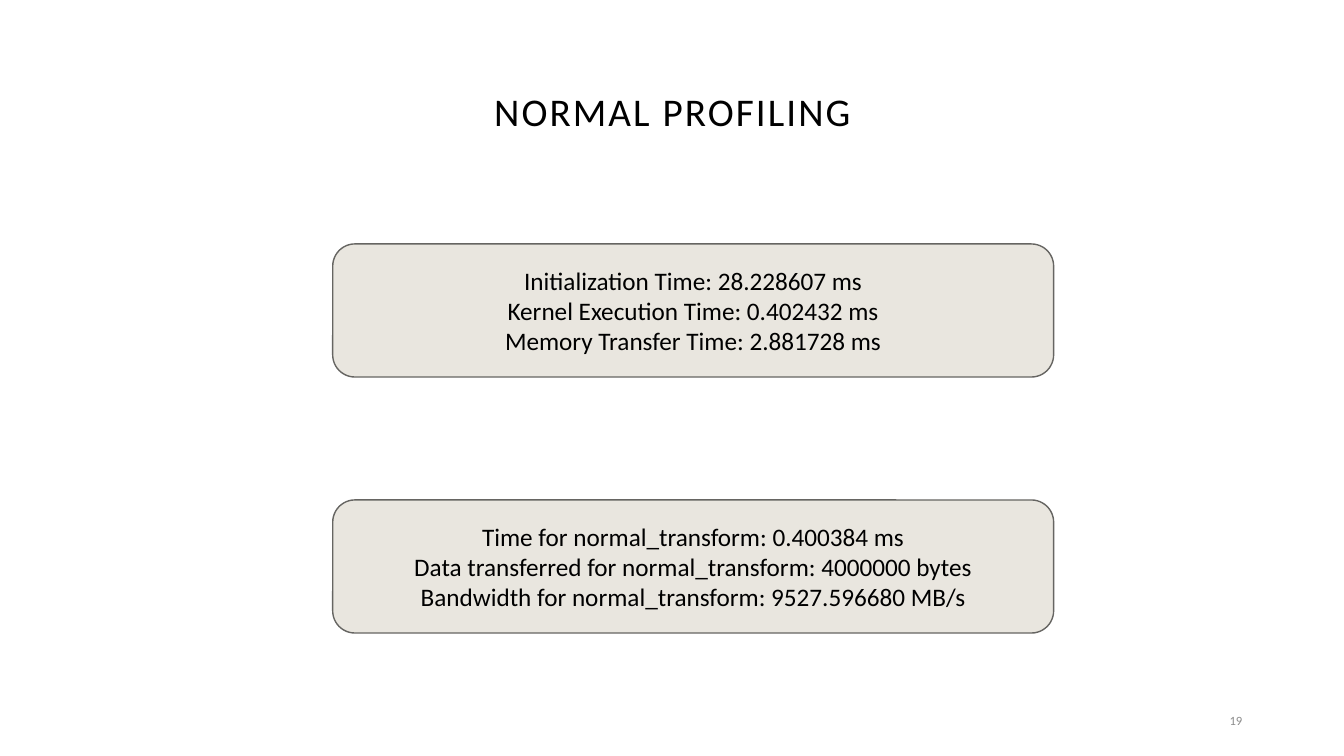
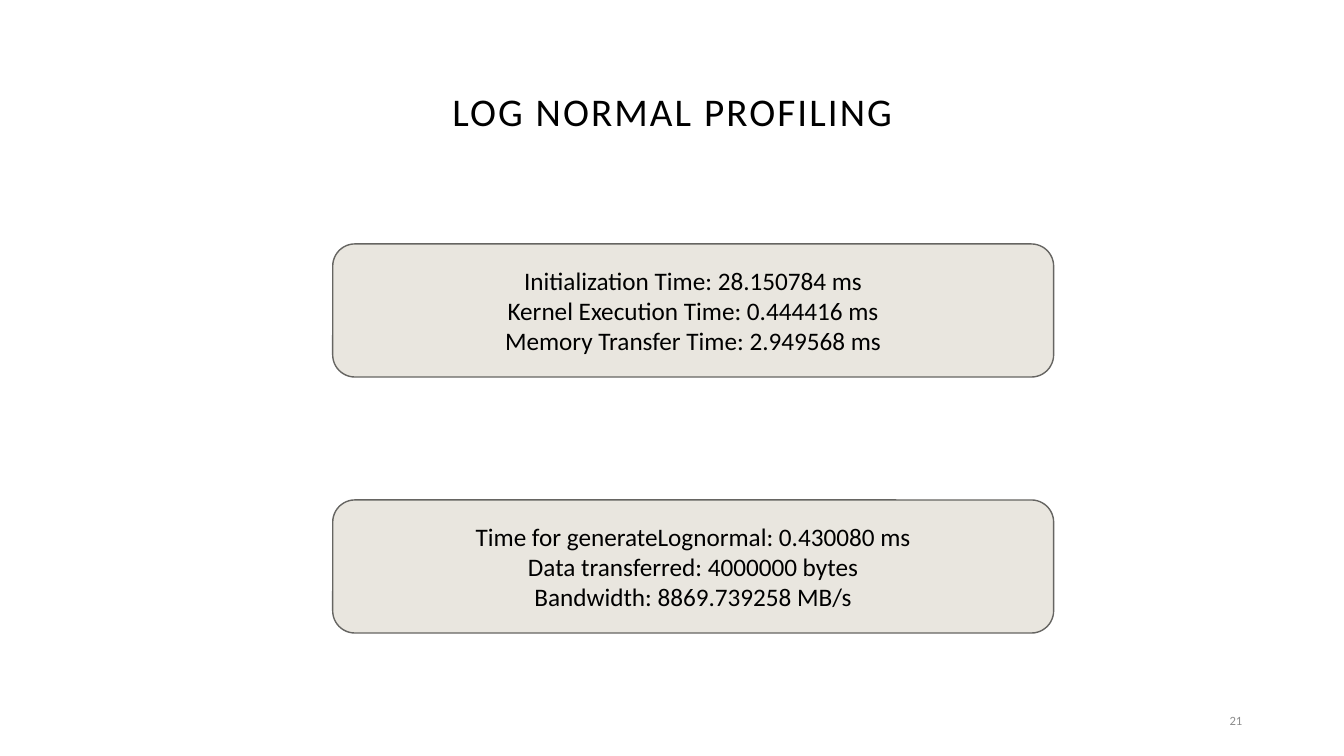
import pptx
import pptx.util
import pptx.dml.color
import pptx.enum.shapes
import pptx.enum.text

Inches = pptx.util.Inches
Pt = pptx.util.Pt
ALIGN = pptx.enum.text.PP_ALIGN

# Shared style
FONT = "Calibri"
TEXT, MUTED, PANEL, OUTLINE, PAPER = "000000", "8C8C8C", "E9E6DF", "666562", "FFFFFF"
TITLE_BOX = (0.92, 0.4, 11.5, 1.45)
NUMBER_BOX = (9.42, 6.95, 3, 0.4)
PANELS_BOX = (3.3, 2.42, 7.15, 3.86)
PANEL_HEIGHT = 1.32

SLIDES = [
    ("NORMAL PROFILING", 19, [
        ["Initialization Time: 28.228607 ms",
         "Kernel Execution Time: 0.402432 ms",
         "Memory Transfer Time: 2.881728 ms"],
        ["Time for normal_transform: 0.400384 ms",
         "Data transferred for normal_transform: 4000000 bytes",
         "Bandwidth for normal_transform: 9527.596680 MB/s"],
    ]),
    ("LOG NORMAL PROFILING", 21, [
        ["Initialization Time: 28.150784 ms",
         "Kernel Execution Time: 0.444416 ms",
         "Memory Transfer Time: 2.949568 ms"],
        ["Time for generateLognormal: 0.430080 ms",
         "Data transferred: 4000000 bytes",
         "Bandwidth: 8869.739258 MB/s"],
    ]),
]


def color(value):
    return pptx.dml.color.RGBColor.from_string(value)


def write(sp, lines, size, ink=TEXT, align=ALIGN.CENTER):
    """Fill a shape with one paragraph per line, centred vertically."""
    tf = sp.text_frame
    tf.word_wrap = True
    tf.vertical_anchor = pptx.enum.text.MSO_ANCHOR.MIDDLE
    tf.text = "\n".join(lines)
    for p in tf.paragraphs:
        p.alignment = align
        for r in p.runs:
            r.font.name = FONT
            r.font.size = Pt(size)
            r.font.color.rgb = color(ink)
    return tf


def add_text(s, box, *args, **style):
    sp = s.shapes.add_textbox(*map(Inches, box))
    return write(sp, *args, **style)


def add_title(s, box, title):
    p = add_text(s, box, [title], 28).paragraphs[0]
    p.line_spacing = 0.9
    # Letter spacing of 1.5 pt
    p.runs[0].font._element.set("spc", "150")


def add_panels(s, box, panels):
    """Stack the rounded panels evenly from top to bottom of the box."""
    left, top, width, height = box
    step = (height - PANEL_HEIGHT) / (len(panels) - 1)
    for i, lines in enumerate(panels):
        sp = s.shapes.add_shape(
            pptx.enum.shapes.MSO_SHAPE.FLOWCHART_ALTERNATE_PROCESS,
            Inches(left), Inches(top + i * step), Inches(width), Inches(PANEL_HEIGHT))
        sp.shadow.inherit = False
        sp.fill.solid()
        sp.fill.fore_color.rgb = color(PANEL)
        sp.line.color.rgb = color(OUTLINE)
        sp.line.width = Pt(1)
        write(sp, lines, 18)


def add_profiling_slide(prs, title, number, panels):
    s = prs.slides.add_slide(prs.slide_layouts[6])
    s.background.fill.solid()
    s.background.fill.fore_color.rgb = color(PAPER)
    add_title(s, TITLE_BOX, title)
    add_text(s, NUMBER_BOX, [str(number)], 9, ink=MUTED, align=ALIGN.RIGHT)
    add_panels(s, PANELS_BOX, panels)


def main():
    prs = pptx.Presentation()
    prs.slide_width, prs.slide_height = Inches(13.33), Inches(7.5)
    for title, number, panels in SLIDES:
        add_profiling_slide(prs, title, number, panels)
    prs.save("out.pptx")


if __name__ == "__main__":
    main()
